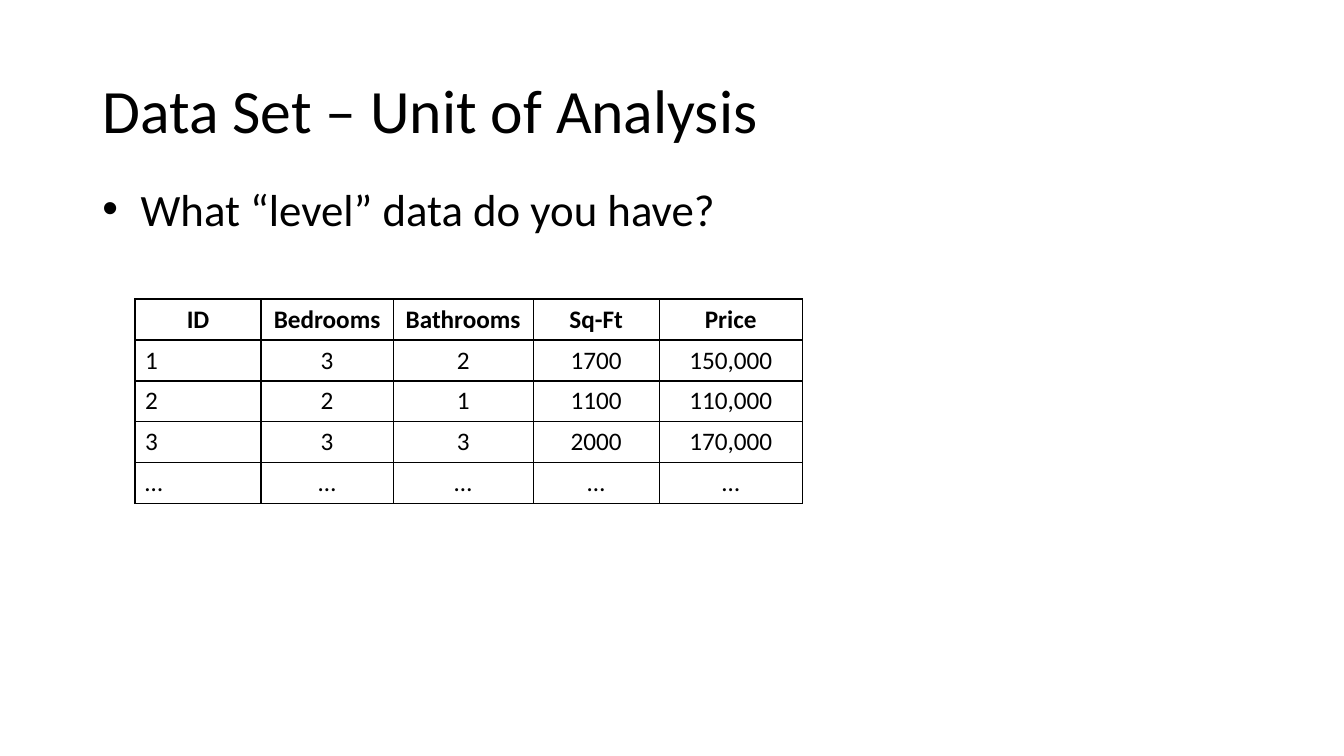
from lxml import etree
from pptx import Presentation
from pptx import util as u
from pptx.dml.color import RGBColor
from pptx.enum import text
from pptx.oxml import ns

COLS, ROWS = 160, 90  # grid over the whole slide
COLUMN_WIDTHS = [15, 15.72, 16.68, 15, 17.04]
ROW_HEIGHT = 4.88
HOUSES = [
    ["ID", "Bedrooms", "Bathrooms", "Sq-Ft", "Price"],
    ["1", "3", "2", "1700", "150,000"],
    ["2", "2", "1", "1100", "110,000"],
    ["3", "3", "3", "2000", "170,000"],
    ["…"] * 5,
]


def rgb(color):
    return RGBColor.from_string(color)


def sub(parent, tag, **attrs):
    return etree.SubElement(parent, ns.qn(tag), attrs)


def write(tf, content, size=18, bold=False, color="000000", font="Calibri",
          align=text.PP_ALIGN.LEFT, anchor=None, spacing=None, bullet=None, indent=0):
    tf.word_wrap = True
    if anchor is not None:
        tf.vertical_anchor = anchor
    p = tf.paragraphs[0]
    p.alignment = align
    if spacing:
        p.line_spacing = spacing
    if bullet:
        pPr = p._p.get_or_add_pPr()
        pPr.set("marL", str(u.Inches(indent)))
        pPr.set("indent", str(-u.Inches(indent)))
        sub(pPr, "a:buFont", typeface="Arial")
        sub(pPr, "a:buChar", char=bullet)
    r = p.add_run()
    r.text = content
    r.font.size, r.font.bold, r.font.name = u.Pt(size), bold, font
    r.font.color.rgb = rgb(color)


class Deck:
    def __init__(self):
        self.prs = Presentation()
        self.prs.slide_width = u.Inches(13.33)
        self.prs.slide_height = u.Inches(7.5)
        self.s = self.prs.slides.add_slide(self.prs.slide_layouts[5])

    def x(self, columns):
        return round(self.prs.slide_width * columns / COLS)

    def y(self, rows):
        return round(self.prs.slide_height * rows / ROWS)

    def box(self, left, top, width, height):
        return self.x(left), self.y(top), self.x(width), self.y(height)

    def title(self, content, *place):
        sp = self.s.shapes.title
        sp.left, sp.top, sp.width, sp.height = self.box(*place)
        write(sp.text_frame, content, size=44, spacing=0.9,
              anchor=text.MSO_ANCHOR.MIDDLE)

    def bullet(self, content, *place):
        sp = self.s.shapes.add_textbox(*self.box(*place))
        write(sp.text_frame, content, size=32, bullet="•", indent=0.38)

    def border(self, cell, color="000000", width=1):
        tcPr = cell._tc.get_or_add_tcPr()
        for side in ("a:lnL", "a:lnR", "a:lnT", "a:lnB"):
            ln = sub(tcPr, side, w=str(u.Pt(width)))
            sub(sub(ln, "a:solidFill"), "a:srgbClr", val=color)

    def table(self, rows, widths, row_height, left, top):
        place = self.box(left, top, sum(widths), row_height * len(rows))
        table = self.s.shapes.add_table(len(rows), len(widths), *place).table
        table.first_row = table.horz_banding = False
        for column, width in zip(table.columns, widths):
            column.width = self.x(width)
        for i, values in enumerate(rows):
            table.rows[i].height = self.y(row_height)
            for j, value in enumerate(values):
                cell = table.cell(i, j)
                self.border(cell)
                cell.fill.background()
                centred = i == 0 or j > 0
                write(cell.text_frame, value, bold=i == 0,
                      align=text.PP_ALIGN.CENTER if centred else text.PP_ALIGN.LEFT)


def main():
    deck = Deck()
    # Heading
    deck.title("Data Set – Unit of Analysis", 11, 4.8, 138, 17.4)
    # House data
    deck.table(HOUSES, COLUMN_WIDTHS, ROW_HEIGHT, 16.08, 35.6)
    # Question
    deck.bullet("What “level” data do you have?", 11, 21, 126, 59.4)
    deck.prs.save("out.pptx")


if __name__ == "__main__":
    main()
